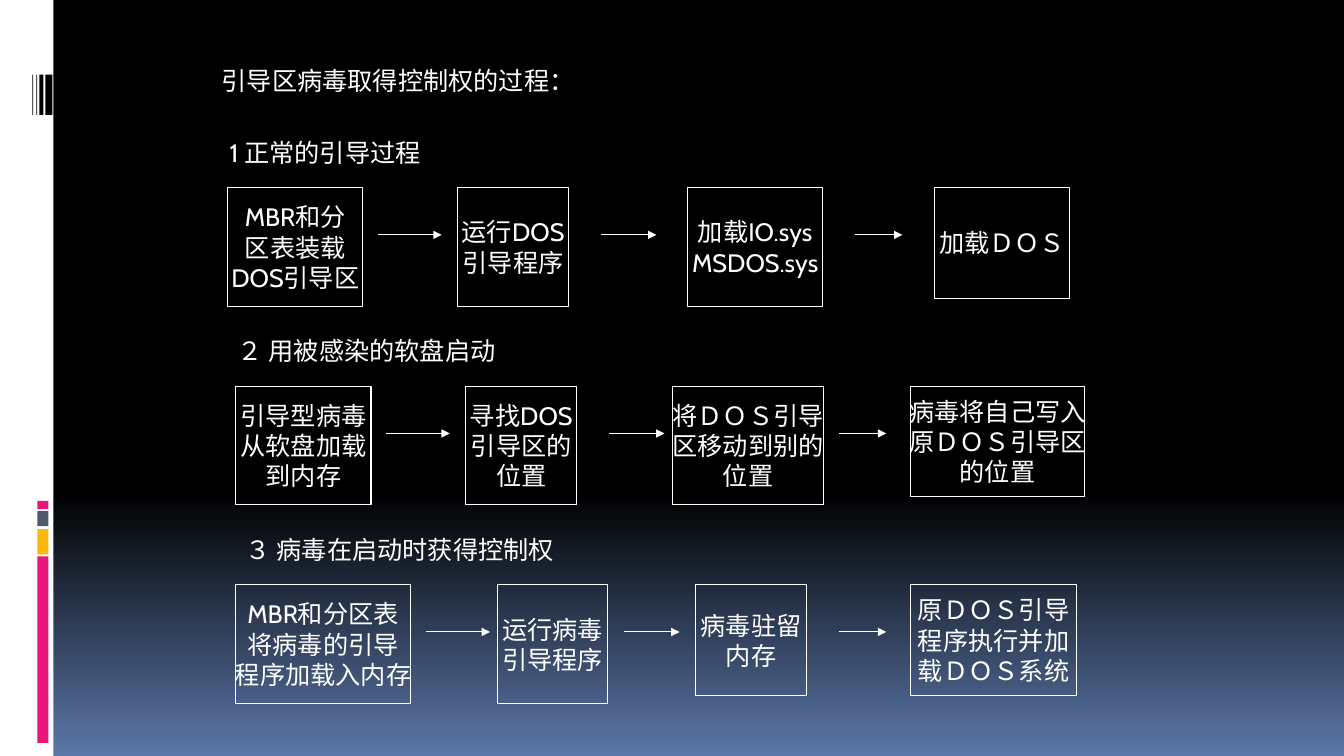
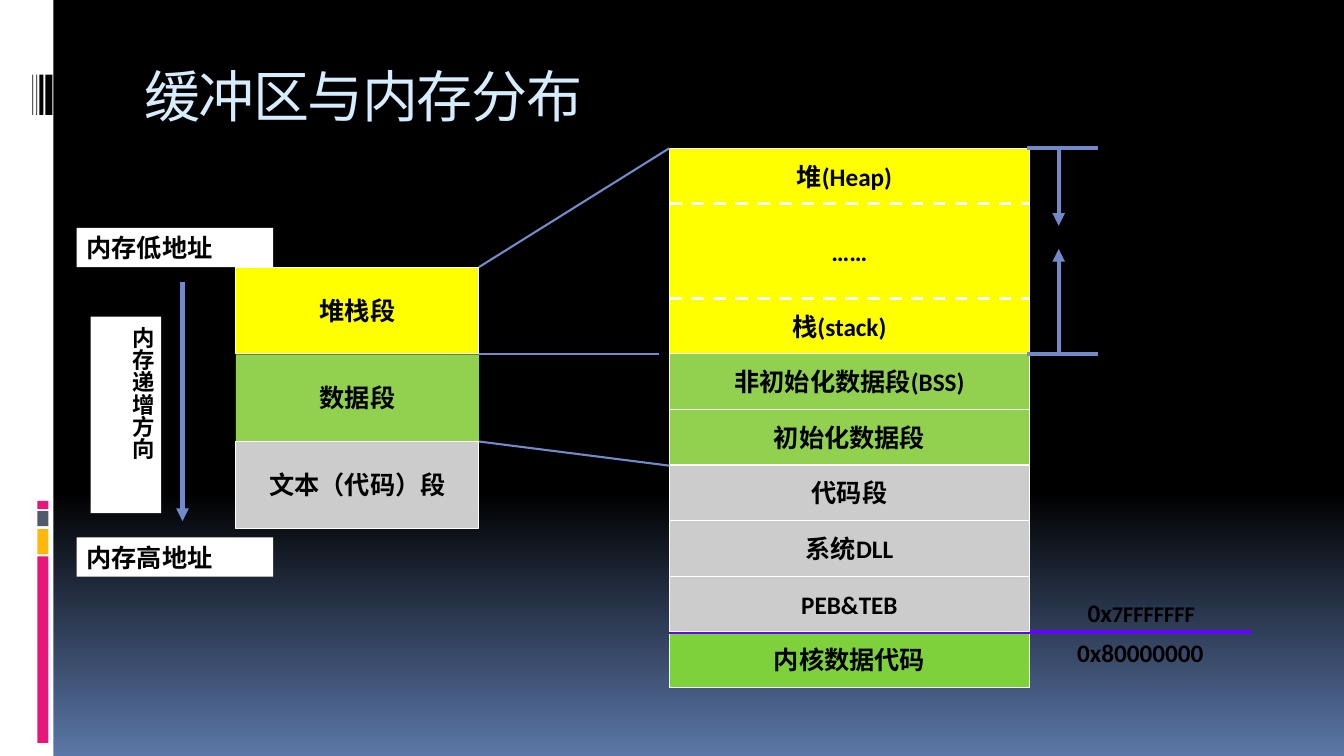
from lxml import etree
from pptx import Presentation
from pptx.dml.color import RGBColor
from pptx.enum.dml import MSO_LINE
from pptx.enum.shapes import MSO_CONNECTOR, MSO_SHAPE
from pptx.enum.text import MSO_ANCHOR, MSO_AUTO_SIZE, PP_ALIGN
from pptx.oxml.ns import qn
from pptx.util import Inches, Pt

RECTANGLE = MSO_SHAPE.RECTANGLE
STRAIGHT = MSO_CONNECTOR.STRAIGHT
DASH = MSO_LINE.DASH
TOP, MIDDLE = MSO_ANCHOR.TOP, MSO_ANCHOR.MIDDLE
LEFT, CENTER, JUSTIFY = PP_ALIGN.LEFT, PP_ALIGN.CENTER, PP_ALIGN.JUSTIFY
FIT_TEXT = MSO_AUTO_SIZE.SHAPE_TO_FIT_TEXT
TITLE_ONLY, BLANK = 5, 6

WHITE, BLACK = "FFFFFF", "000000"
SKY, ACCENT, PURPLE = "5B77A8", "738AC8", "6600FF"
PINK, AMBER, SLATE = "EA157A", "FEB80A", "4E5B6F"
YELLOW, GREEN, GRAY, KERNEL_GREEN = "FFFF00", "92D050", "CCCCCC", "7FD13B"
TITLE_COLOR = "D6ECFF"

FLOW_FONT = {"name": "Cabin", "size": Pt(18)}
MEMORY_FONT = {"name": "Calibri", "size": Pt(18), "bold": True}
LABEL_FONT = {"name": "Times New Roman", "size": Pt(18), "bold": True}
TITLE_FONT = {"name": "Noto Sans Mono", "size": Pt(40), "bold": False}

SIDE_BAND = [
    (0, 0, 0.53, 7.5, WHITE),
    (0.37, 5.52, 0.11, 1.85, PINK),
    (0.37, 5.25, 0.11, 0.25, AMBER),
    (0.37, 5.07, 0.11, 0.15, SLATE),
    (0.37, 4.97, 0.11, 0.08, PINK),
    (0.45, 0.74, 0.07, 0.4, BLACK),
    (0.39, 0.74, 0.04, 0.4, BLACK),
    (0.36, 0.74, 0.01, 0.4, BLACK),
    (0.32, 0.74, 0.01, 0.4, BLACK),
]

FLOW_TOP, FLOW_STEP = 1.86, 1.97
ARROW_LENGTHS = (0.63, 0.55, 0.47)
TALL, SHORT = 1.18, 1.1
FLOWS = [
    ((2.18, 2.28, "1 正常的引导过程"), (3.75, 5.96, 8.48), [
        (2.26, 1.34, TALL, "MBR和分\n区表装载\nDOS引导区"),
        (4.54, 1.1, TALL, "运行DOS\n引导程序"),
        (6.82, 1.34, TALL, "加载IO.sys\nMSDOS.sys"),
        (9.27, 1.34, SHORT, "加载ＤＯＳ"),
    ]),
    ((2.26, 2.99, "２ 用被感染的软盘启动"), (3.83, 6.04, 8.32), [
        (2.34, 1.34, TALL, "引导型病毒\n从软盘加载\n到内存"),
        (4.62, 1.1, TALL, "寻找DOS\n引导区的\n位置"),
        (6.67, 1.5, TALL, "将ＤＯＳ引导\n区移动到别的\n位置"),
        (9.03, 1.73, SHORT, "病毒将自己写入\n原ＤＯＳ引导区\n的位置"),
    ]),
    ((2.34, 3.7, "３ 病毒在启动时获得控制权"), (4.23, 6.19, 8.32), [
        (2.34, 1.73, TALL, "MBR和分区表\n将病毒的引导\n程序加载入内存"),
        (4.93, 1.1, TALL, "运行病毒\n引导程序"),
        (6.9, 1.1, SHORT, "病毒驻留\n内存"),
        (9.03, 1.65, SHORT, "原ＤＯＳ引导\n程序执行并加\n载ＤＯＳ系统"),
    ]),
]

SEGMENT_LEFT, SEGMENT_WIDTH = 2.34, 2.41
SEGMENT_RIGHT = SEGMENT_LEFT + SEGMENT_WIDTH
SEGMENT_TOP, CODE_TOP = 2.65, 4.38
SEGMENTS = [("堆栈段", YELLOW, WHITE), ("数据段", GREEN, None), ("文本（代码）段", GRAY, WHITE)]

DETAIL_LEFT, DETAIL_WIDTH = 6.64, 3.57
DETAIL_RIGHT = DETAIL_LEFT + DETAIL_WIDTH
HEAP_TOP, STACK_BOTTOM, KERNEL_TOP = 1.47, 3.51, 6.27
DETAILS = [
    ("非初始化数据段(BSS)", GREEN),
    ("初始化数据段", GREEN),
    ("代码段", GRAY),
    ("系统DLL", GRAY),
    ("PEB&TEB", GRAY),
    ("内核数据代码", KERNEL_GREEN),
]
DETAIL_STEP = (KERNEL_TOP - STACK_BOTTOM) / (len(DETAILS) - 1)


def rgb(color):
    return RGBColor.from_string(color)


def apply_format(target, values):
    for name, value in values.items():
        setattr(target, name, value)


def write_text(frame, text, font, color, align, **frame_format):
    apply_format(frame, frame_format)
    for index, line in enumerate(text.split("\n")):
        paragraph = frame.add_paragraph() if index else frame.paragraphs[0]
        paragraph.alignment = align
        run = paragraph.add_run()
        run.text = line
        apply_format(run.font, font)
        run.font.color.rgb = rgb(color)


def add_box(slide, left, top, width, height, fill=None, line=None):
    box = slide.shapes.add_shape(
        RECTANGLE, Inches(left), Inches(top), Inches(width), Inches(height))
    box.shadow.inherit = False
    if fill:
        box.fill.solid()
        box.fill.fore_color.rgb = rgb(fill)
    else:
        box.fill.background()
    if line:
        box.line.color.rgb = rgb(line)
        box.line.width = Pt(0.75)
    else:
        box.line.fill.background()
    return box


def add_flow_box(slide, left, top, width, height, text):
    box = add_box(slide, left, top, width, height, line=WHITE)
    write_text(box.text_frame, text, FLOW_FONT, WHITE, CENTER,
               word_wrap=False, vertical_anchor=MIDDLE)


def add_memory_box(slide, left, top, width, height, text, fill, line=WHITE):
    box = add_box(slide, left, top, width, height, fill, line)
    write_text(box.text_frame, text, MEMORY_FONT, BLACK, CENTER,
               word_wrap=False, vertical_anchor=MIDDLE)


def add_label(slide, left, top, width, height, text, size=18):
    box = add_box(slide, left, top, width, height, fill=WHITE)
    write_text(box.text_frame, text, {**LABEL_FONT, "size": Pt(size)}, BLACK, JUSTIFY,
               word_wrap=True, vertical_anchor=TOP)
    return box


def add_text(slide, left, top, width, height, text, font, color, align=LEFT, **frame_format):
    box = slide.shapes.add_textbox(Inches(left), Inches(top), Inches(width), Inches(height))
    write_text(box.text_frame, text, font, color, align, **frame_format)
    return box


def add_line(slide, start, end, color, width, arrow=False, dash=None):
    points = [Inches(value) for value in (*start, *end)]
    connector = slide.shapes.add_connector(STRAIGHT, *points)
    connector.line.color.rgb = rgb(color)
    connector.line.width = Pt(width)
    if dash:
        connector.line.dash_style = dash
    if arrow:
        outline = connector.line._get_or_add_ln()
        etree.SubElement(outline, qn("a:tailEnd"), type="triangle")
    etree.SubElement(connector.element.spPr, qn("a:effectLst"))


def build_master(presentation, slide):
    master = presentation.slide_master
    fill = master.background.fill
    fill.gradient()
    fill.gradient_angle = 270
    for stop, color, position in zip(fill.gradient_stops, (BLACK, SKY), (0.65, 1)):
        stop.color.rgb = rgb(color)
        stop.position = position
    for number, (left, top, width, height, color) in enumerate(SIDE_BAND, 100):
        band = add_box(slide, left, top, width, height, fill=color)
        band.element.nvSpPr.cNvPr.set("id", str(number))
        master.shapes.element.append(band.element)


def set_title(slide, text):
    title = slide.shapes.title
    position = {"left": 1.33, "top": 0.56, "width": 11.33, "height": 1}
    apply_format(title, {name: Inches(value) for name, value in position.items()})
    write_text(title.text_frame, text, TITLE_FONT, TITLE_COLOR, LEFT,
               word_wrap=True, vertical_anchor=TOP)
    title.text_frame.paragraphs[0].runs[0].font._element.set("spc", "-100")


def build_boot_slide(slide):
    add_text(slide, 2.1, 0.6, 3.78, 0.4, "引导区病毒取得控制权的过程：", FLOW_FONT, WHITE,
             word_wrap=True, auto_size=FIT_TEXT)
    for row, (heading, arrow_starts, boxes) in enumerate(FLOWS):
        top = FLOW_TOP + row * FLOW_STEP
        left, width, text = heading
        add_text(slide, left, top - 0.55, width, 0.4, text, FLOW_FONT, WHITE,
                 word_wrap=True, auto_size=FIT_TEXT)
        for left, width, height, text in boxes:
            add_flow_box(slide, left, top, width, height, text)
        arrow_top = top + 0.47
        for start, length in zip(arrow_starts, ARROW_LENGTHS):
            add_line(slide, (start, arrow_top), (start + length, arrow_top),
                     WHITE, 0.75, arrow=True)


def add_segments(slide):
    step = (CODE_TOP - SEGMENT_TOP) / 2
    for index, (text, fill, line) in enumerate(SEGMENTS):
        add_memory_box(slide, SEGMENT_LEFT, SEGMENT_TOP + index * step,
                       SEGMENT_WIDTH, 0.86, text, fill, line)
    add_label(slide, 0.76, 2.26, 1.95, 0.39, "内存低地址")
    add_label(slide, 0.76, 5.33, 1.95, 0.39, "内存高地址")
    direction = add_label(slide, 0.9, 3.14, 0.7, 1.95, "内存递增方向", 16)
    direction.text_frame._txBody.bodyPr.set("vert", "eaVert")
    add_line(slide, (1.81, 2.8), (1.81, 5.17), ACCENT, 3, arrow=True)


def add_heap_and_stack(slide):
    add_memory_box(slide, DETAIL_LEFT, HEAP_TOP, DETAIL_WIDTH, 2.05, "……", YELLOW)
    for left, top, width, text in ((6.64, 1.39, 3.47, "堆(Heap)"),
                                   (6.54, 2.88, 3.57, "栈(stack)")):
        add_text(slide, left, top, width, 0.71, text, MEMORY_FONT, BLACK, CENTER,
                 word_wrap=False, vertical_anchor=MIDDLE)
    for top in (2.02, 2.96):
        add_line(slide, (DETAIL_LEFT, top), (DETAIL_RIGHT, top), WHITE, 2.25, dash=DASH)


def add_details(slide):
    for index, (text, fill) in reversed(list(enumerate(DETAILS))):
        add_memory_box(slide, DETAIL_LEFT, STACK_BOTTOM + index * DETAIL_STEP,
                       DETAIL_WIDTH, 0.55, text, fill)
        if fill == KERNEL_GREEN:
            add_line(slide, (12.41, KERNEL_TOP), (DETAIL_LEFT, KERNEL_TOP), PURPLE, 3)
    add_text(slide, 10, KERNEL_TOP, 2.62, 0.41, "0x80000000", MEMORY_FONT, BLACK, CENTER,
             word_wrap=True, auto_size=FIT_TEXT)
    address = add_text(slide, 9.9, 5.88, 2.84, 0.41, "0x", MEMORY_FONT, BLACK, CENTER,
                       word_wrap=True, auto_size=FIT_TEXT)
    digits = address.text_frame.paragraphs[0].add_run()
    digits.text = "7FFFFFFF"
    apply_format(digits.font, {**MEMORY_FONT, "size": Pt(16)})
    digits.font.color.rgb = rgb(BLACK)


def add_memory_lines(slide):
    for top, arrow_end in ((HEAP_TOP, 2.24), (STACK_BOTTOM, 2.47)):
        add_line(slide, (10.19, top), (10.89, top), ACCENT, 3)
        add_line(slide, (10.5, top), (10.5, arrow_end), ACCENT, 3, arrow=True)
    for start_top, end in ((SEGMENT_TOP, (DETAIL_LEFT, HEAP_TOP)),
                           (STACK_BOTTOM, (6.54, STACK_BOTTOM)),
                           (CODE_TOP, (DETAIL_LEFT, 4.62))):
        add_line(slide, (SEGMENT_RIGHT, start_top), end, ACCENT, 1.5)


def build_memory_slide(slide):
    set_title(slide, "缓冲区与内存分布")
    add_segments(slide)
    add_heap_and_stack(slide)
    add_details(slide)
    add_memory_lines(slide)


def main():
    presentation = Presentation()
    presentation.slide_width = Inches(13.33)
    presentation.slide_height = Inches(7.5)
    layouts = presentation.slide_layouts
    boot_slide = presentation.slides.add_slide(layouts[BLANK])
    build_master(presentation, boot_slide)
    build_boot_slide(boot_slide)
    build_memory_slide(presentation.slides.add_slide(layouts[TITLE_ONLY]))
    presentation.save("out.pptx")


if __name__ == "__main__":
    main()
